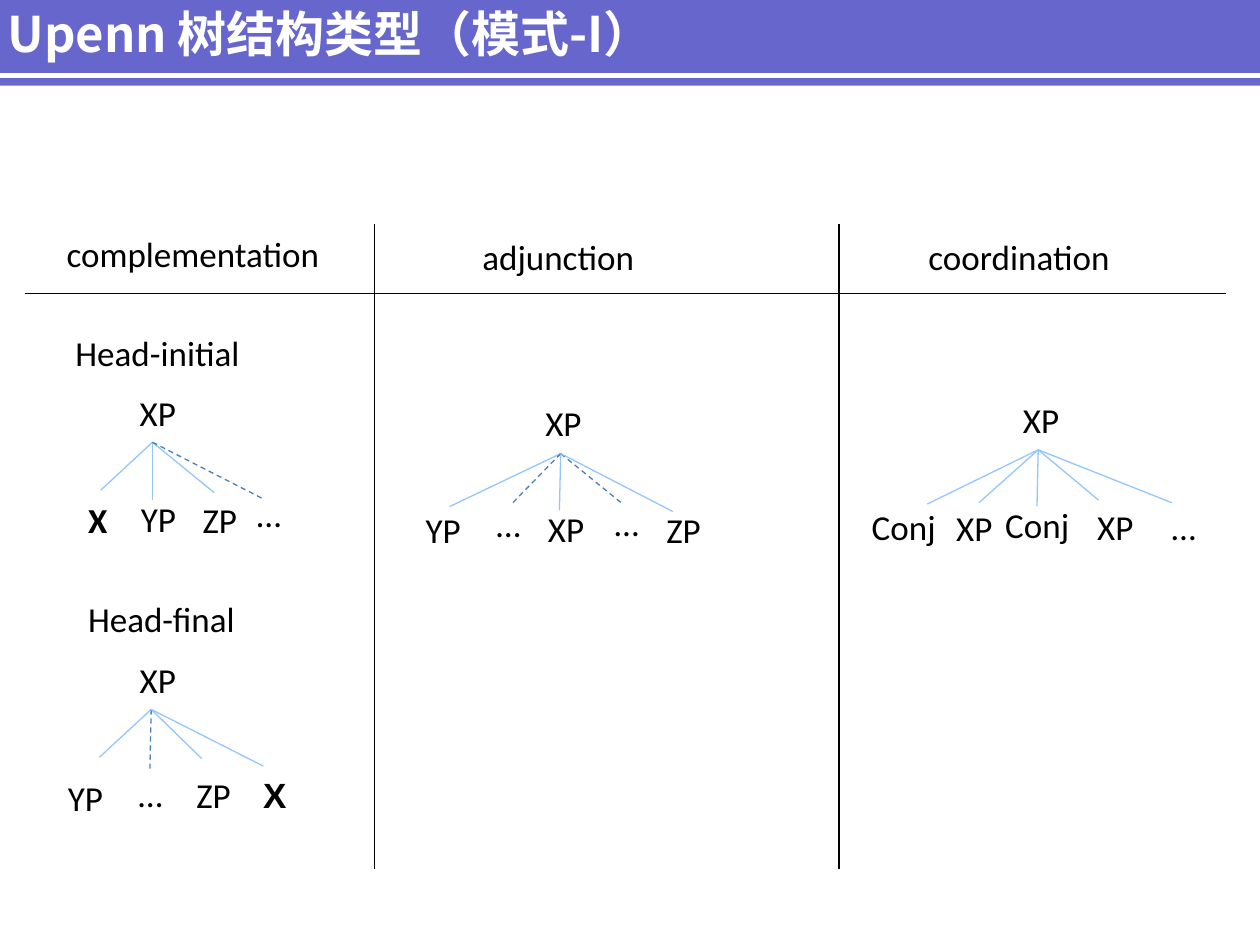
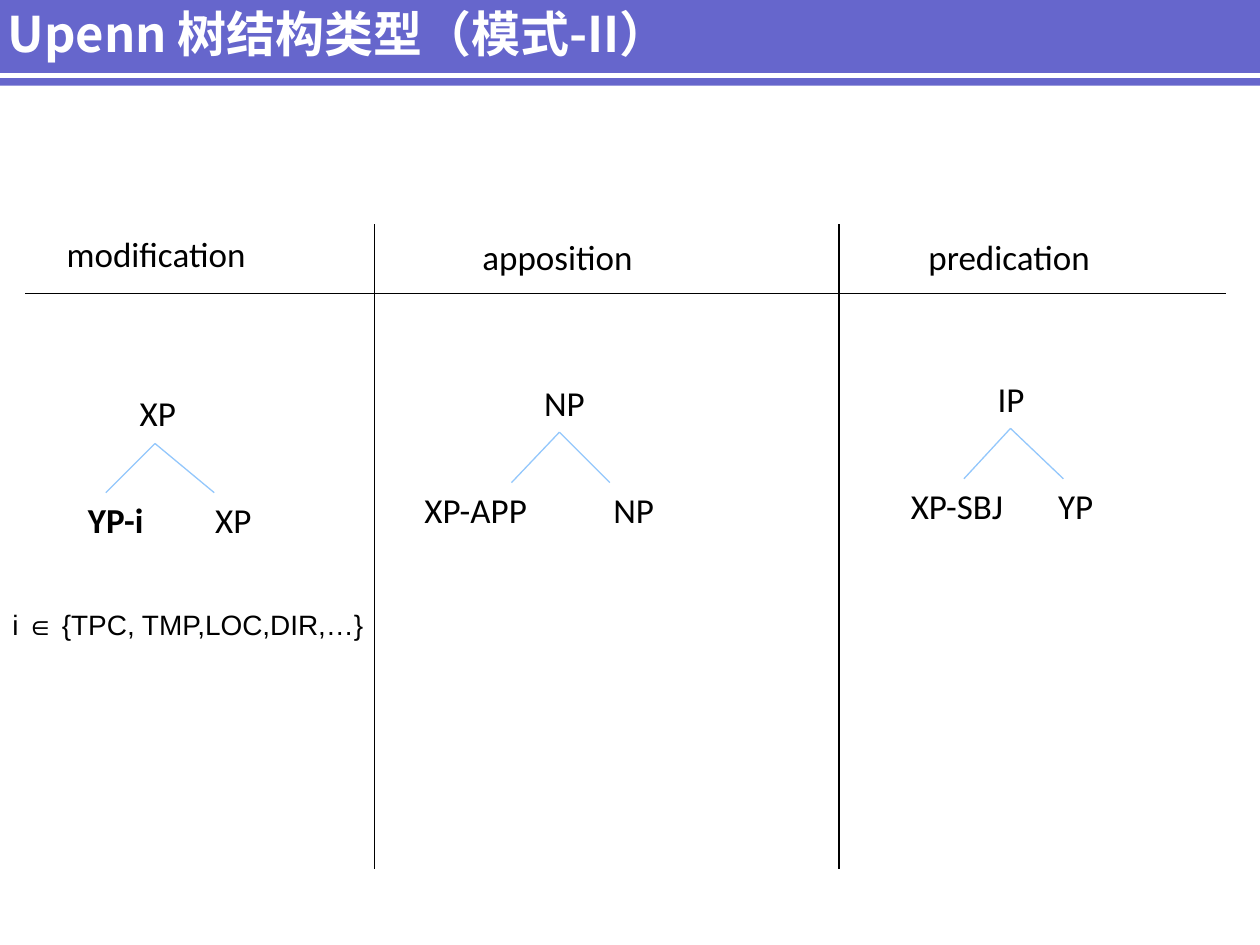
"""Builds two slides of tree-structure patterns set out in three columns."""
from dataclasses import dataclass

from lxml.etree import SubElement
from pptx import Presentation
from pptx.dml.color import RGBColor
from pptx.enum.dml import MSO_LINE
from pptx.enum.shapes import MSO_CONNECTOR, MSO_SHAPE
from pptx.enum.text import MSO_ANCHOR, MSO_AUTO_SIZE, PP_ALIGN
from pptx.oxml.ns import qn
from pptx.util import Inches, Pt


@dataclass(frozen=True)
class Theme:
    band: RGBColor = RGBColor(0x66, 0x66, 0xCC)
    white: RGBColor = RGBColor(0xFF, 0xFF, 0xFF)
    ink: RGBColor = RGBColor(0, 0, 0)
    branch: RGBColor = RGBColor(0x93, 0xC7, 0xFC)
    optional: RGBColor = RGBColor(0x4A, 0x7E, 0xBB)
    title_font: str = "Noto Sans CJK SC"
    label_font: str = "Calibri"
    note_font: str = "Arial"
    title_size: int = 28
    label_size: int = 20
    note_size: int = 16
    thin: float = 0.75
    thick: float = 3


T = Theme()
HEAD = {"bold": True}
ARIAL_HEAD = {"bold": True, "font": T.note_font}
HEADER_SPOTS = [(0.43, 1.8), (3.73, 1.82), (7.27, 1.82)]
GRID = [(2.97, 1.78, 2.97, 6.9), (6.66, 1.78, 6.66, 6.9), (0.2, 2.33, 9.73, 2.33)]

# Tree: root label and its spot, apex of the branches, then leaves given as
# (label, spot, branch tip, dashed, text format).
SLIDES = [
    {
        "title": "Upenn 树结构类型（模式-I）",
        "headers": ["complementation", "adjunction", "coordination"],
        "notes": [("Head-initial", (0.5, 2.58), {}), ("Head-final", (0.6, 4.69), {})],
        "trees": [
            ("XP", (1.01, 3.06), (1.21, 3.51), [
                ("X", (0.6, 3.91), (0.8, 3.89), False, HEAD),
                ("YP", (1.02, 3.9), (1.21, 3.97), False, {}),
                ("ZP", (1.51, 3.91), (1.7, 3.91), False, {}),
                ("…", (1.94, 3.86), (2.09, 3.96), True, {}),
            ]),
            ("XP", (1.01, 5.18), (1.2, 5.63), [
                ("YP", (0.44, 6.11), (0.79, 6.01), False, {}),
                ("…", (1, 6.08), (1.19, 6.1), True, {}),
                ("ZP", (1.46, 6.09), (1.6, 6.02), False, {}),
                ("X", (1.99, 6.09), (2.09, 6.08), False, ARIAL_HEAD),
            ]),
            ("XP", (4.23, 3.14), (4.45, 3.6), [
                ("YP", (3.28, 3.99), (3.57, 4.02), False, {}),
                ("…", (3.84, 3.94), (4.07, 3.99), True, {}),
                ("XP", (4.25, 3.98), (4.44, 4.05), False, {}),
                ("…", (4.78, 3.93), (4.93, 3.99), True, {}),
                ("ZP", (5.19, 3.99), (5.34, 4.06), False, {}),
            ]),
            ("XP", (8.02, 3.11), (8.24, 3.57), [
                ("Conj", (6.82, 3.96), (7.36, 4), False, {}),
                ("XP", (7.49, 3.97), (7.77, 3.99), False, {}),
                ("Conj", (7.88, 3.95), (8.23, 4.02), False, {}),
                ("XP", (8.61, 3.96), (8.72, 3.97), False, {}),
                ("…", (9.2, 3.96), (9.3, 3.99), False, {}),
            ]),
        ],
    },
    {
        "title": "Upenn 树结构类型（模式-II）",
        "headers": ["modification", "apposition", "predication"],
        "notes": [("i ∈ {TPC, TMP,LOC,DIR,…}", (0, 4.77),
                   {"font": T.note_font, "size": T.note_size})],
        "trees": [
            ("XP", (1.01, 3.06), (1.23, 3.52), [
                ("YP-i", (0.6, 3.91), (0.84, 3.91), False, HEAD),
                ("XP", (1.61, 3.91), (1.7, 3.91), False, {}),
            ]),
            ("NP", (4.22, 2.98), (4.44, 3.43), [
                ("XP-APP", (3.27, 3.83), (4.06, 3.83), False, {}),
                ("NP", (4.77, 3.83), (4.84, 3.83), False, {}),
            ]),
            ("IP", (7.82, 2.95), (8.02, 3.4), [
                ("XP-SBJ", (7.13, 3.8), (7.65, 3.8), False, {}),
                ("YP", (8.3, 3.8), (8.44, 3.8), False, {}),
            ]),
        ],
    },
]


def style(p, font, size, color, bold):
    p.font.name, p.font.size, p.font.bold = font, Pt(size), bold
    p.font.color.rgb = color


def add_line(s, start, end, color, width=T.thin, dashed=False):
    points = [Inches(v) for v in (*start, *end)]
    line = s.shapes.add_connector(MSO_CONNECTOR.STRAIGHT, *points)
    line.line.color.rgb = color
    line.line.width = Pt(width)
    if dashed:
        line.line.dash_style = MSO_LINE.DASH
    SubElement(line._element.spPr, qn("a:effectLst"))


def add_label(s, text, spot, font=T.label_font, size=T.label_size, bold=False):
    width = 0.3 + 0.135 * len(text)
    height = 0.1 + size * 0.017
    box = s.shapes.add_textbox(*(Inches(v) for v in (*spot, width, height)))
    tf = box.text_frame
    tf.word_wrap = True
    tf.text = text
    style(tf.paragraphs[0], font, size, T.ink, bold)


def add_title(s, text):
    band = s.shapes.add_shape(MSO_SHAPE.RECTANGLE, Inches(-0.04), Inches(-0.03),
                              Inches(10.04), Inches(0.71))
    band.shadow.inherit = False
    band.fill.solid()
    band.fill.fore_color.rgb = T.band
    band.line.fill.background()
    add_line(s, (-0.04, 0.6), (10, 0.6), T.white, T.thick)

    title = s.shapes.title
    title.left, title.top = Inches(-0.04), Inches(0.05)
    title.width, title.height = Inches(8.77), Inches(0.43)
    band._element.getparent().append(title._element)
    tf = title.text_frame
    tf.text = text
    tf.auto_size = MSO_AUTO_SIZE.NONE
    tf.vertical_anchor = MSO_ANCHOR.MIDDLE
    p = tf.paragraphs[0]
    p.alignment = PP_ALIGN.LEFT
    style(p, T.title_font, T.title_size, T.white, True)
    defaults = p._p.pPr.find(qn("a:defRPr"))
    SubElement(defaults, qn("a:ea")).set("typeface", T.title_font)


def add_tree(s, root, spot, apex, leaves):
    add_label(s, root, spot)
    for label, leaf_spot, tip, dashed, fmt in leaves:
        add_line(s, apex, tip, T.optional if dashed else T.branch, dashed=dashed)
        add_label(s, label, leaf_spot, **fmt)


def main():
    prs = Presentation()
    prs.slide_width, prs.slide_height = Inches(10), Inches(7.5)
    for content in SLIDES:
        s = prs.slides.add_slide(prs.slide_layouts[5])
        add_title(s, content["title"])
        for x1, y1, x2, y2 in GRID:
            add_line(s, (x1, y1), (x2, y2), T.ink)
        for header, spot in zip(content["headers"], HEADER_SPOTS):
            add_label(s, header, spot)
        for note, spot, fmt in content["notes"]:
            add_label(s, note, spot, **fmt)
        for tree in content["trees"]:
            add_tree(s, *tree)
    prs.save("out.pptx")


if __name__ == "__main__":
    main()
